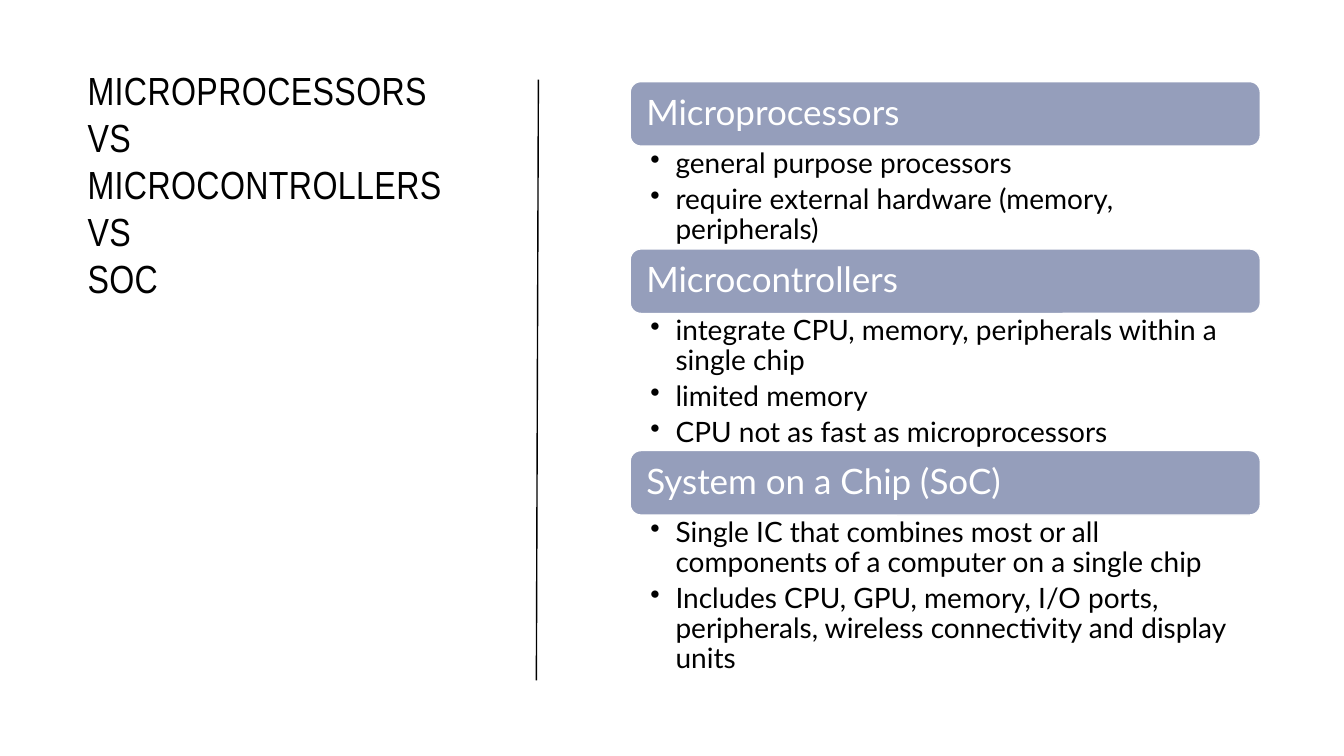
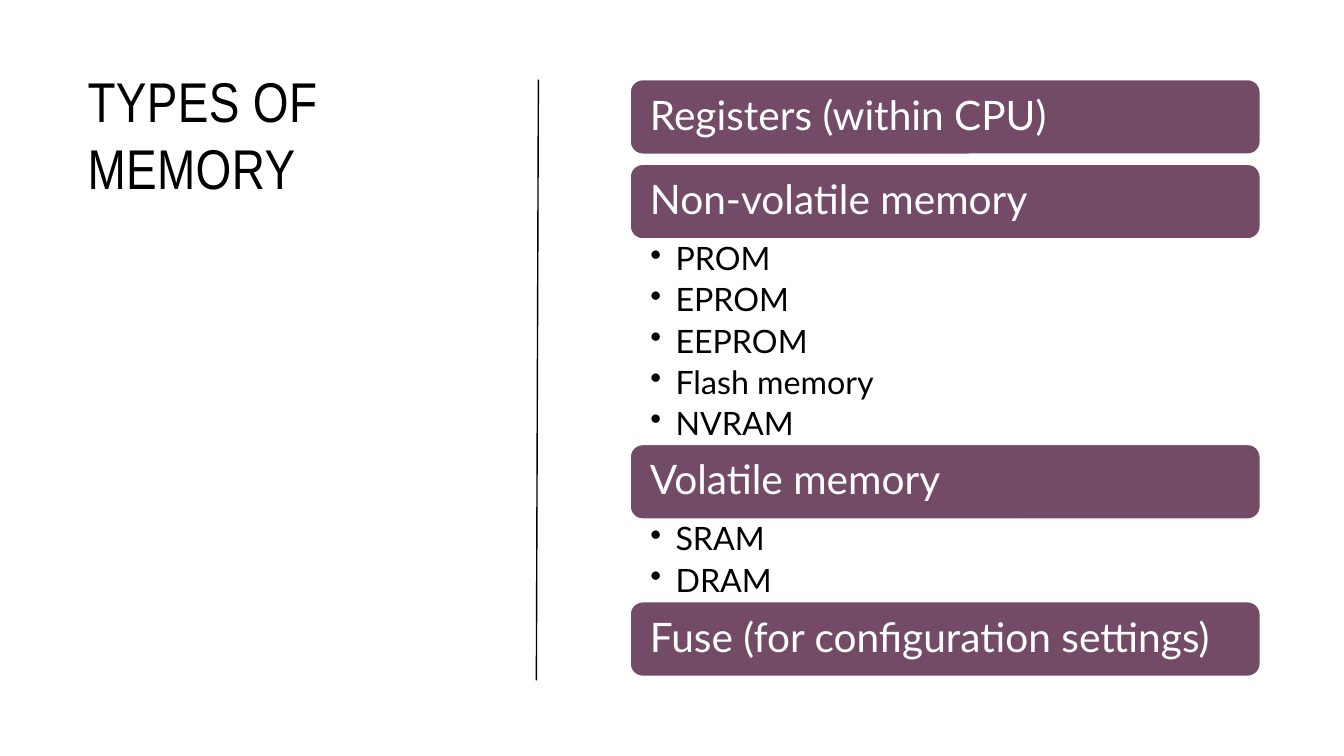
from dataclasses import dataclass

from lxml.etree import SubElement
from pptx import Presentation
from pptx.dml.color import RGBColor
from pptx.enum.shapes import MSO_CONNECTOR as Link, MSO_SHAPE as Shape
from pptx.enum.text import MSO_ANCHOR as Anchor, PP_ALIGN as Align
from pptx.oxml.ns import qn
from pptx.util import Pt

PX = 9144  # EMU in one px, 100 px to the inch
BLACK, WHITE = "000000", "FFFFFF"
HEAD_FONT, BODY_FONT = "Arial Narrow", "Lato"
TITLE_BOX = (77, 61, 396, 499)
RULE = (532, 675, 534, 79)
LEFT, WIDTH, GAP = 625, 625, 10
INDENT = 25


@dataclass
class Style:
    """Look of one stack of bands and bullets; lengths in px, sizes in points."""
    fill: str
    top: int
    band: int
    inset: int
    head: int
    body: int
    pads: tuple


BLUE = Style("959EBB", 81, 64, 13, 25, 20, (20, 3, 19, 3))
PLUM = Style("734B67", 79, 74, 16, 29, 23, (20, 4, 23, 4))

# Each section: heading, bullets, height of the bullet area
CHIPS = [
    ("Microprocessors", [
        "general purpose processors",
        "require external hardware (memory, peripherals)"], 102),
    ("Microcontrollers", [
        "integrate CPU, memory, peripherals within a single chip",
        "limited memory",
        "CPU not as fast as microprocessors"], 136),
    ("System on a Chip (SoC)", [
        "Single IC that combines most or all components of a computer "
        "on a single chip",
        "Includes CPU, GPU, memory, I/O ports, peripherals, wireless "
        "connectivity and display units"], 158),
]
MEMORY = [
    ("Registers (within CPU)", [], 0),
    ("Non-volatile memory",
     ["PROM", "EPROM", "EEPROM", "Flash memory", "NVRAM"], 204),
    ("Volatile memory", ["SRAM", "DRAM"], 82),
    ("Fuse (for configuration settings)", [], 0),
]


def px(*vals):
    return [val * PX for val in vals]


def color(code):
    return RGBColor.from_string(code)


def set_frame(shape, pads, anchor=Anchor.TOP):
    frame = shape.text_frame
    frame.word_wrap = True
    frame.vertical_anchor = anchor
    (frame.margin_left, frame.margin_top,
     frame.margin_right, frame.margin_bottom) = px(*pads)
    return frame


def add_run(para, text, size, font, code):
    run = para.add_run()
    run.text = text
    run.font.size = Pt(size)
    run.font.name = font
    run.font.color.rgb = color(code)
    return run


def add_title(slide, box, lines, size):
    frame = set_frame(slide.shapes.add_textbox(*px(*box)), (10, 5, 10, 5))
    para = frame.paragraphs[0]
    for num, line in enumerate(lines):
        if num:
            para.add_line_break()
        run = add_run(para, line, size, HEAD_FONT, BLACK)
        run.font._element.set("spc", "30")


def add_rule(slide, ends):
    line = slide.shapes.add_connector(Link.STRAIGHT, *px(*ends))
    line.line.color.rgb = color(BLACK)
    line.line.width = Pt(1)
    SubElement(line._element.spPr, qn("a:effectLst"))


def add_band(slide, box, text, style):
    band = slide.shapes.add_shape(Shape.ROUNDED_RECTANGLE, *px(*box))
    band.shadow.inherit = False
    band.fill.solid()
    band.fill.fore_color.rgb = color(style.fill)
    band.line.color.rgb = color(WHITE)
    band.line.width = Pt(1)
    frame = set_frame(band, [style.inset] * 4, Anchor.MIDDLE)
    para = frame.paragraphs[0]
    para.alignment = Align.LEFT
    para.line_spacing = 0.9
    para.space_after = Pt(style.head * 0.35)
    add_run(para, text, style.head, BODY_FONT, WHITE)


def add_bullets(slide, box, items, style):
    frame = set_frame(slide.shapes.add_textbox(*px(*box)), style.pads)
    for num, item in enumerate(items):
        para = frame.add_paragraph() if num else frame.paragraphs[0]
        para.level = 1
        para.line_spacing = 0.9
        para.space_after = Pt(style.body * 0.2)
        props = para._p.get_or_add_pPr()
        props.set("marL", str(INDENT * PX))
        props.set("indent", str(-INDENT * PX))
        SubElement(props, qn("a:buChar"), char="•")
        add_run(para, item, style.body, BODY_FONT, BLACK)


def add_stack(slide, left, width, parts, style):
    """Stack the sections downwards; a band without bullets gets a gap."""
    top = style.top
    for head, items, high in parts:
        add_band(slide, (left, top, width, style.band), head, style)
        top += style.band
        if items:
            add_bullets(slide, (left, top, width, high), items, style)
        top += high if items else GAP


def add_slide(deck, lines, size, parts, style):
    slide = deck.slides.add_slide(deck.slide_layouts[6])
    slide.background.fill.solid()
    slide.background.fill.fore_color.rgb = color(WHITE)
    add_title(slide, TITLE_BOX, lines, size)
    add_rule(slide, RULE)
    add_stack(slide, LEFT, WIDTH, parts, style)


def main():
    deck = Presentation()
    deck.slide_width, deck.slide_height = px(1333, 750)
    add_slide(deck, ["MICROPROCESSORS VS MICROCONTROLLERS VS", "SOC"], 28,
              CHIPS, BLUE)
    add_slide(deck, ["TYPES OF MEMORY"], 40, MEMORY, PLUM)
    deck.save("out.pptx")


if __name__ == "__main__":
    main()
